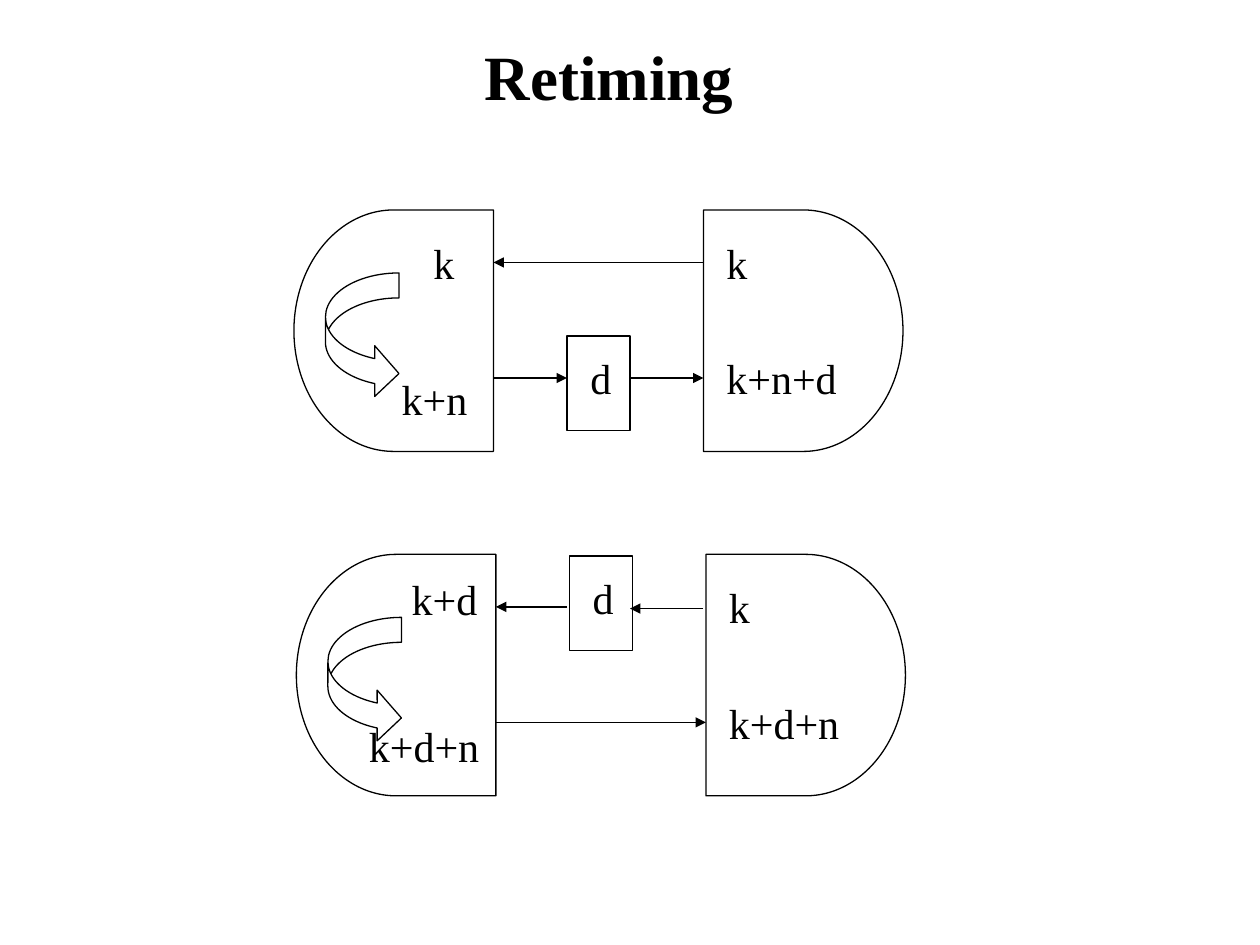
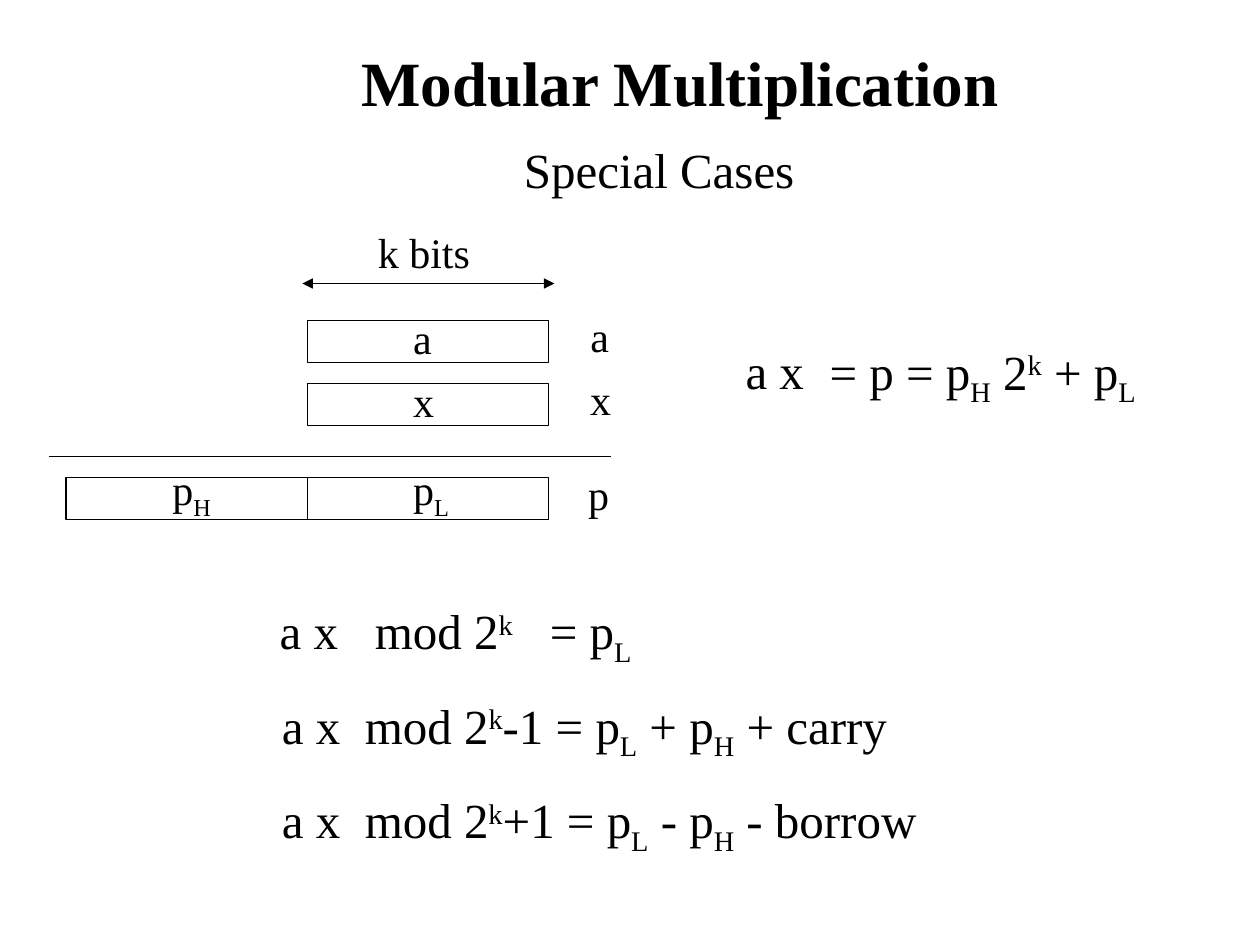
from dataclasses import dataclass

from lxml.etree import SubElement
from pptx import Presentation
from pptx.dml.color import RGBColor
from pptx.enum.shapes import MSO_CONNECTOR as Connector, MSO_SHAPE as Shape
from pptx.enum.text import MSO_ANCHOR as Anchor, MSO_AUTO_SIZE as AutoSize
from pptx.oxml.ns import qn
from pptx.util import Pt


@dataclass(frozen=True)
class Theme:
    font: str = "Times New Roman"
    ink: RGBColor = RGBColor(0, 0, 0)
    title: float = 36
    formula: float = 28
    label: float = 24
    line: float = 0.75
    slack: float = 2  # spare width that keeps each text on one line


THEME = Theme()

# Retiming: both stages use coordinates relative to their own origin.
# Labels are (text, left, top); wires are (from x, to x, y).
RETIMING_TITLE = ("Retiming", 270, 18, 156)
STAGES = [
    {
        "origin": (0, 0),
        "delay": (324, 192),
        "labels": [("k", 240.5, 132), ("k+n", 222.5, 210),
                   ("k", 408, 132), ("k+n+d", 408, 198)],
        "wires": [(402, 282, 150), (282, 324, 216), (360, 402, 216)],
    },
    {
        "origin": (1.4, 196.8),
        "delay": (324, 121),
        "labels": [("k+d", 226.8, 127.2), ("k+d+n", 202.3, 211.4),
                   ("k", 408, 132), ("k+d+n", 408, 198)],
        "wires": [(322.6, 282, 150), (400.4, 358.6, 151), (282, 402, 216)],
    },
]
GATE_SIZE = (114, 138)
GATE_TOP, LEFT_GATE, RIGHT_GATE = 120, 168, 402
DELAY_SIZE = (36, 54)
LOOP_BOX = (186, 156, 42, 72)
LOOP_ADJUSTMENTS = (0.34, 0.69, 0.33)

# Modular multiplication: "|" separates runs, "_" lowers and "^" raises one.
# Texts are (text, left, top, width), formulas end with their tab stops.
MODULAR_TITLE = ("Modular Multiplication", 199.4, 21.6, 379.4)
SUBTITLE = ("Special Cases", 292.3, 76.3, 168.5)
WIDTH_LABEL = ("k bits", 208.8, 126, 67)
REGISTER_SIZE = (138, 24)
LOW_COLUMN = 175.7
HIGH_COLUMN = LOW_COLUMN - REGISTER_SIZE[0]
REGISTERS = [(LOW_COLUMN, 183), (LOW_COLUMN, 219),
             (HIGH_COLUMN, 273), (LOW_COLUMN, 273)]
REGISTER_LABELS = [
    ("a", 229, 175, 25), ("x", 229, 211, 26),
    ("p|_H", 91.4, 261.4, 36.4), ("p|_L", 229, 261.4, 35),
    ("a", 330.2, 174.2, 25), ("x", 330.2, 210.2, 26), ("p", 329, 264.2, 26),
]
FORMULAS = [
    ("a x", 419, 190.8, 54.7, ()),
    ("= p = p|_H| 2|^k| + p|_L", 467, 191.5, 189.5, ()),
    ("a x\tmod 2|^k|\t= p|_L", 152.8, 339.8, 215.3, (54.4, 154.4)),
    ("a x\tmod 2|^k|-1 = p|_L| + p|_H| + carry", 154, 393.8, 360, (47.4,)),
    ("a x\tmod 2|^k|+1 = p|_L| - p|_H| - borrow", 154, 447.8, 377, (47.4,)),
]
BASELINES = {"_": "-25000", "^": "30000"}


def add_text(slide, text, left, top, width, *, size=THEME.label, bold=False,
             tabs=()):
    box = slide.shapes.add_textbox(
        Pt(left), Pt(top), Pt(width + THEME.slack), Pt(size * 1.2 + 7.2))
    frame = box.text_frame
    frame.word_wrap = False
    frame.auto_size = AutoSize.SHAPE_TO_FIT_TEXT
    frame.vertical_anchor = Anchor.TOP
    line = frame.paragraphs[0]
    if tabs:
        stops = SubElement(line._p.get_or_add_pPr(), qn("a:tabLst"))
        for stop in tabs:
            SubElement(stops, qn("a:tab"), pos=str(Pt(stop)), algn="l")
    for part in text.split("|"):
        baseline = BASELINES.get(part[0])
        run = line.add_run()
        run.text = part[1:] if baseline else part
        font = run.font
        font.name, font.size, font.bold = THEME.font, Pt(size), bold
        font.color.rgb = THEME.ink
        if baseline:
            run._r.get_or_add_rPr().set("baseline", baseline)


def ink_line(item):
    item.line.color.rgb = THEME.ink
    item.line.width = Pt(THEME.line)


def add_outline(slide, preset, left, top, width, height):
    outline = slide.shapes.add_shape(
        preset, Pt(left), Pt(top), Pt(width), Pt(height))
    outline.shadow.inherit = False
    outline.fill.background()
    ink_line(outline)
    return outline


def add_wire(slide, start, end, y, ends=("tailEnd",)):
    wire = slide.shapes.add_connector(
        Connector.STRAIGHT, Pt(start), Pt(y), Pt(end), Pt(y))
    ink_line(wire)
    for end_name in ends:
        SubElement(wire.line._get_or_add_ln(), qn(f"a:{end_name}"),
                   type="triangle")
    SubElement(wire._element.spPr, qn("a:effectLst"))


def add_stage(slide, stage):
    dx, dy = stage["origin"]

    # Gates facing each other
    for gate_left in (LEFT_GATE, RIGHT_GATE):
        gate = add_outline(slide, Shape.FLOWCHART_DELAY,
                           gate_left + dx, GATE_TOP + dy, *GATE_SIZE)
        if gate_left == LEFT_GATE:
            gate._element.spPr.get_or_add_xfrm().set("flipH", "1")

    # Delay element
    delay_left, delay_top = stage["delay"]
    add_outline(slide, Shape.RECTANGLE,
                delay_left + dx, delay_top + dy, *DELAY_SIZE)
    delay_label = ("d", delay_left + 6.2, delay_top + 6)

    # Wires and the loop inside the left gate
    for start, end, y in stage["wires"]:
        add_wire(slide, start + dx, end + dx, y + dy)
    left, top, width, height = LOOP_BOX
    loop = add_outline(slide, Shape.CURVED_RIGHT_ARROW,
                       left + dx, top + dy, width, height)
    for index, value in enumerate(LOOP_ADJUSTMENTS):
        loop.adjustments[index] = value

    # Times at the ports
    for text, left, top in [delay_label, *stage["labels"]]:
        add_text(slide, text, left + dx, top + dy, 13.4 + 12.8 * len(text))


def build_retiming(slide):
    add_text(slide, *RETIMING_TITLE, size=THEME.title, bold=True)
    for stage in STAGES:
        add_stage(slide, stage)


def build_modular(slide):
    add_text(slide, *MODULAR_TITLE, size=THEME.title, bold=True)
    add_text(slide, *SUBTITLE, size=THEME.formula)

    # Registers, the product rule and the width arrow
    for left, top in REGISTERS:
        add_outline(slide, Shape.RECTANGLE, left, top, *REGISTER_SIZE)
    add_wire(slide, 28, 349.2, 261, ends=())
    add_wire(slide, 172.8, 316.8, 162, ends=("headEnd", "tailEnd"))
    for label in [WIDTH_LABEL, *REGISTER_LABELS]:
        add_text(slide, *label)

    # Formulas
    for *formula, tabs in FORMULAS:
        add_text(slide, *formula, size=THEME.formula, tabs=tabs)


def main():
    deck = Presentation()
    deck.slide_width, deck.slide_height = Pt(720), Pt(540)
    for build in (build_retiming, build_modular):
        build(deck.slides.add_slide(deck.slide_layouts[6]))
    deck.save("out.pptx")


if __name__ == "__main__":
    main()
